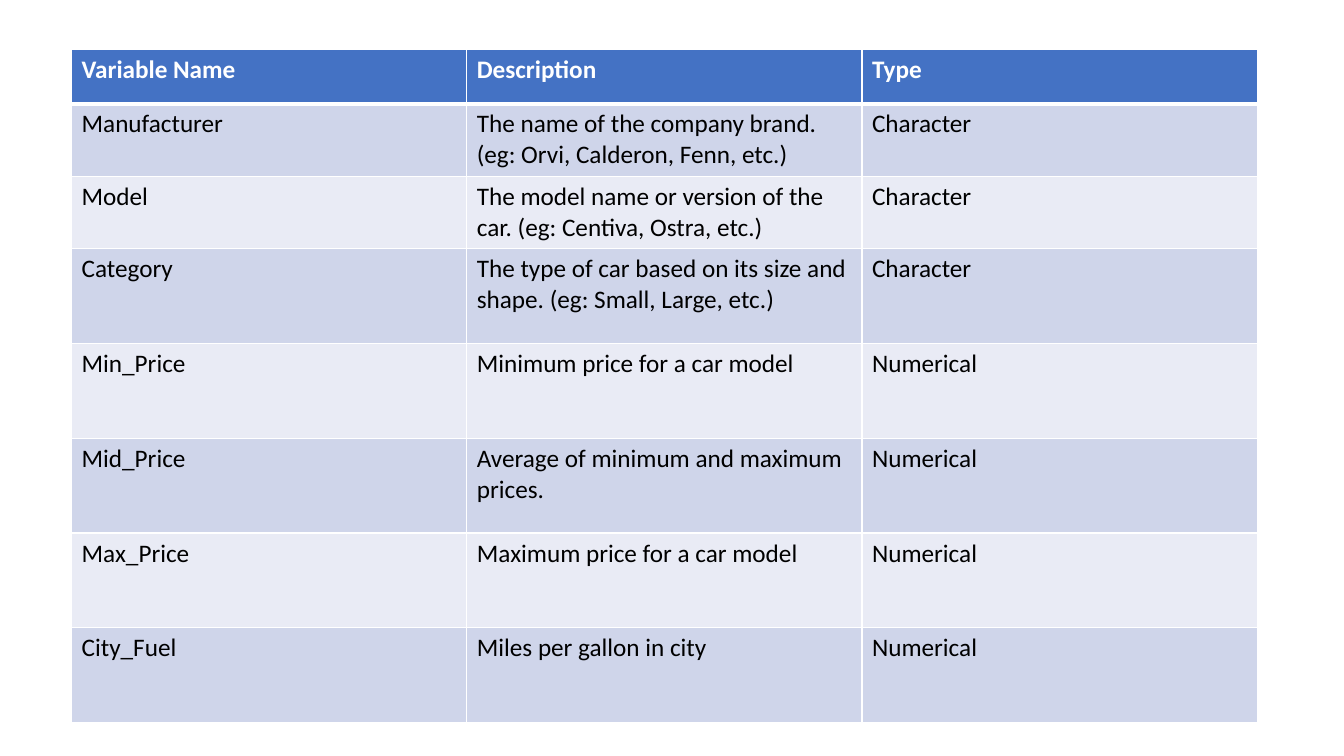
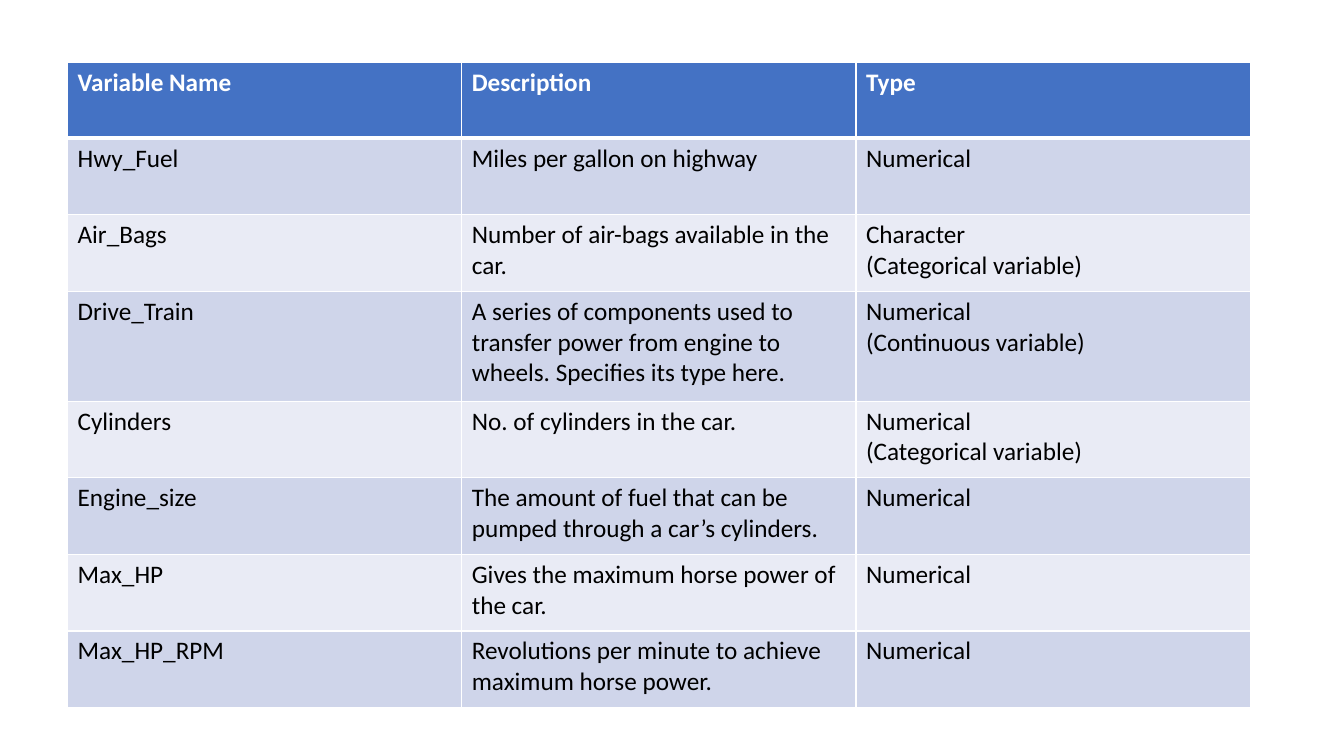
from lxml import etree
from pptx import Presentation
from pptx.dml.color import RGBColor
from pptx.oxml.ns import qn
from pptx.util import Inches, Pt

COLORS = {
    "header": "4472C4",
    "odd_row": "CFD5EA",
    "even_row": "E9EBF5",
    "border": "FFFFFF",
    "header_text": "FFFFFF",
    "body_text": "000000",
}
FONT = "Calibri"
FONT_SIZE = 18
THIN, THICK = 1, 3
HEADINGS = ("Variable Name", "Description", "Type")

PRICE_VARIABLES = [
    ("Manufacturer", "The name of the company brand.\n(eg: Orvi, Calderon, Fenn, etc.)", "Character"),
    ("Model", "The model name or version of the car. (eg: Centiva, Ostra, etc.)", "Character"),
    ("Category", "The type of car based on its size and shape. (eg: Small, Large, etc.)", "Character"),
    ("Min_Price", "Minimum price for a car model", "Numerical"),
    ("Mid_Price", "Average of minimum and maximum prices.", "Numerical"),
    ("Max_Price", "Maximum price for a car model", "Numerical"),
    ("City_Fuel", "Miles per gallon in city", "Numerical"),
]
ENGINE_VARIABLES = [
    ("Hwy_Fuel", "Miles per gallon on highway", "Numerical"),
    ("Air_Bags", "Number of air-bags available in the car.", "Character\n(Categorical variable)"),
    ("Drive_Train", "A series of components used to transfer power from engine to wheels. "
     "Specifies its type here.", "Numerical\n(Continuous variable)"),
    ("Cylinders", "No. of cylinders in the car.", "Numerical\n(Categorical variable)"),
    ("Engine_size", "The amount of fuel that can be pumped through a car’s cylinders.", "Numerical"),
    ("Max_HP", "Gives the maximum horse power of the car.", "Numerical"),
    ("Max_HP_RPM", "Revolutions per minute to achieve maximum horse power.", "Numerical"),
]


def rgb(name):
    return RGBColor.from_string(COLORS[name])


def set_borders(cell, top, bottom):
    """Draw all four borders; must run before the cell is filled."""
    properties = cell._tc.get_or_add_tcPr()
    for side, width in (("L", THIN), ("R", THIN), ("T", top), ("B", bottom)):
        line = etree.SubElement(properties, qn(f"a:ln{side}"), w=str(Pt(width)))
        fill = etree.SubElement(line, qn("a:solidFill"))
        etree.SubElement(fill, qn("a:srgbClr"), val=COLORS["border"])


def style_cell(cell, row_number):
    is_header = row_number == 0
    set_borders(cell,
                top=THICK if row_number == 1 else THIN,
                bottom=THICK if is_header else THIN)
    band = "odd_row" if row_number % 2 else "even_row"
    cell.fill.solid()
    cell.fill.fore_color.rgb = rgb("header" if is_header else band)
    for paragraph in cell.text_frame.paragraphs:
        font = paragraph.font
        font.name, font.size, font.bold = FONT, Pt(FONT_SIZE), is_header
        font.color.rgb = rgb("header_text" if is_header else "body_text")


def add_variable_slide(prs, left, top, column_width, row_heights, variables):
    slide = prs.slides.add_slide(prs.slide_layouts[6])
    rows = [HEADINGS, *variables]
    table = slide.shapes.add_table(
        len(rows), len(HEADINGS), Inches(left), Inches(top),
        Inches(column_width * len(HEADINGS)), Inches(sum(row_heights))).table
    for column in table.columns:
        column.width = Inches(column_width)
    for row_number, (height, texts) in enumerate(zip(row_heights, rows)):
        table.rows[row_number].height = Inches(height)
        for cell, text in zip(table.rows[row_number].cells, texts):
            cell.text = text
            style_cell(cell, row_number)


def main():
    prs = Presentation()
    prs.slide_width, prs.slide_height = Inches(13.33), Inches(7.5)
    add_variable_slide(prs, 0.71, 0.49, 3.92,
                       [0.54] + [0.72] * 2 + [0.94] * 5, PRICE_VARIABLES)
    add_variable_slide(prs, 0.67, 0.62, 3.91,
                       [0.75] + [0.76] * 2 + [1.09] + [0.76] * 4, ENGINE_VARIABLES)
    prs.save("out.pptx")


if __name__ == "__main__":
    main()
